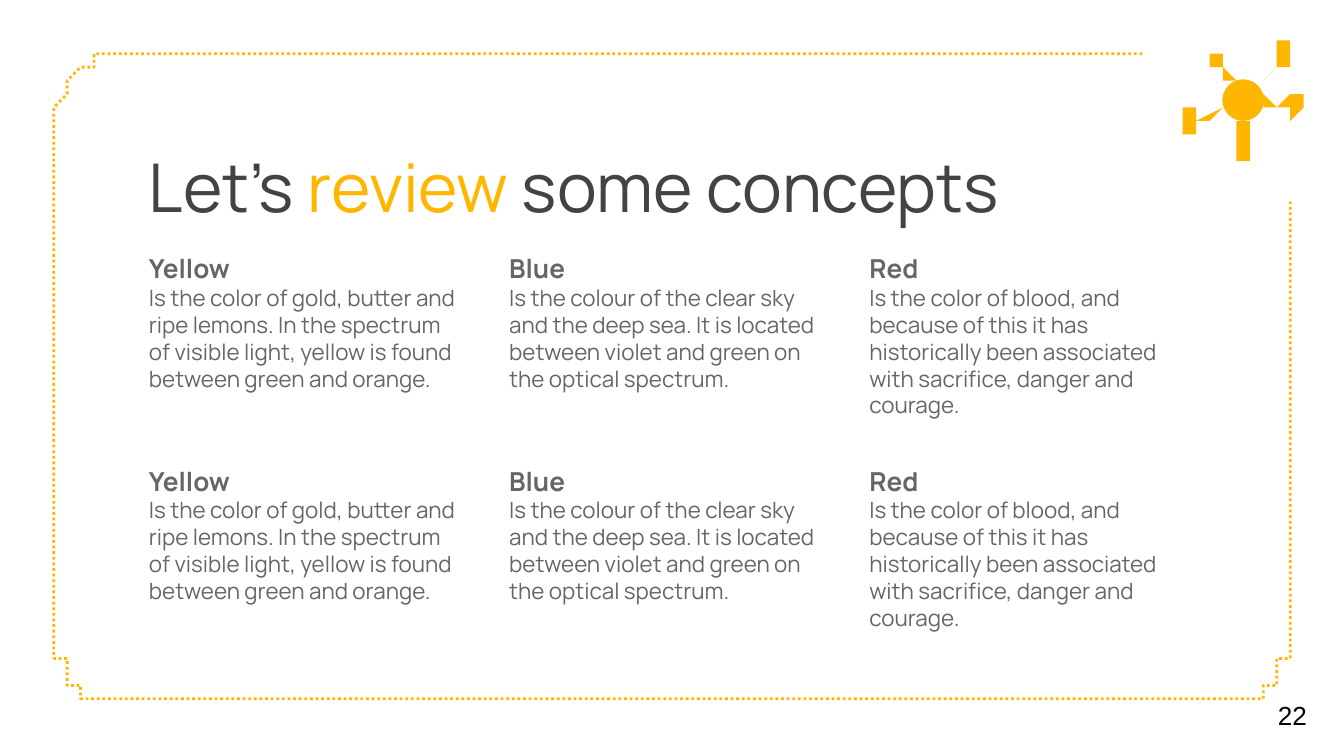
import math
import pptx
import pptx.dml.color
import pptx.enum.dml
import pptx.enum.shapes
import pptx.enum.text
import pptx.util

deck = pptx.Presentation()
deck.slide_width = pptx.util.Inches(10)
deck.slide_height = pptx.util.Inches(5.625)
slide = deck.slides.add_slide(deck.slide_layouts[6])
cell = deck.slide_width // 100
gold = "FFB600"


def tint(code):
    return pptx.dml.color.RGBColor.from_string(code)


def add_text(col, row, wide, high, lines):
    box = slide.shapes.add_textbox(*(round(n * cell) for n in (col, row, wide, high)))
    frame = box.text_frame
    frame.word_wrap = True
    frame.margin_left = frame.margin_right = cell
    frame.margin_top = frame.margin_bottom = cell
    for num, (words, size, face, code, bold) in enumerate(lines):
        para = frame.add_paragraph() if num else frame.paragraphs[0]
        para.text = words
        para.font.size = pptx.util.Pt(size)
        para.font.name = face
        para.font.bold = bold
        para.font.color.rgb = tint(code)
    return frame


left, top, right, base, bend = 4.3, 4.2, 95.7, 52.1, 4.2
edge = [(85.3, top)]
for x, y, start in ((left + bend, top + bend, 270),
                    (left + bend, base - bend, 180),
                    (right - bend, base - bend, 90)):
    for step in range(16):
        turn = math.radians(start - step * 6)
        edge.append((x + bend * math.cos(turn), y + bend * math.sin(turn)))
edge.append((right, 14.6))
pen = slide.shapes.build_freeform(*edge[0], scale=cell)
pen.add_line_segments(edge[1:], close=False)
border = pen.convert_to_shape()
border.shadow.inherit = False
border.fill.background()
border.line.color.rgb = tint(gold)
border.line.width = pptx.util.Pt(1.5)
border.line.dash_style = pptx.enum.dml.MSO_LINE.ROUND_DOT

title = add_text(10.1, 9.8, 75.1, 9.4, [("", 36, "Manrope", "434343", False)])
for words, code in (("Let’s ", "434343"), ("review", gold), (" some concepts", "434343")):
    run = title.paragraphs[0].add_run()
    run.text = words
    run.font.color.rgb = tint(code)

topics = (
    ("Yellow", "Is the color of gold, butter and ripe lemons. In the spectrum of visible light, yellow is found between green and orange."),
    ("Blue", "Is the colour of the clear sky and the deep sea. It is located between violet and green on the optical spectrum."),
    ("Red", "Is the color of blood, and because of this it has historically been associated with sacrifice, danger and courage."),
)
for row in range(2):
    for col, (head, body) in enumerate(topics):
        add_text(10.1 + col * 26.8, 17.8 + row * 15.8, 25.5, 16.2,
                 [(head, 14, "Manrope", "666666", True),
                  (body, 12, "Manrope", "666666", False)])

page = add_text(94.1, 50.2, 5.9, 6, [("22", 14, "Arial", "000000", False)])
page.vertical_anchor = pptx.enum.text.MSO_ANCHOR.MIDDLE

parts = []
ball, half = 0.73, 0.19
for x, y, tipx, tipy in ((95.33, 4.1, 93.65, 6.2), (90.25, 4.5, 91.45, 6.1),
                         (88.8, 9, 90.9, 8.1), (92.35, 11, 92.4, 9.15),
                         (96.1, 7.9, 94.2, 7.65)):
    aim = math.atan2(tipy - y, tipx - x)
    gap = math.asin(half / ball)
    dots = [(tipx + side * half * math.sin(aim), tipy - side * half * math.cos(aim))
            for side in (1, -1)]
    for step in range(41):
        turn = aim + gap + step / 40 * (2 * math.pi - 2 * gap)
        dots.append((x + ball * math.cos(turn), y + ball * math.sin(turn)))
    pen = slide.shapes.build_freeform(*dots[0], scale=cell)
    pen.add_line_segments(dots[1:])
    parts.append(pen.convert_to_shape())
parts.append(slide.shapes.add_shape(
    pptx.enum.shapes.MSO_SHAPE.OVAL,
    *(round(n * cell) for n in (90.95, 5.9, 3.1, 3.1))))
for part in parts:
    part.shadow.inherit = False
    part.fill.solid()
    part.fill.fore_color.rgb = tint(gold)
    part.line.fill.background()

deck.save("out.pptx")
